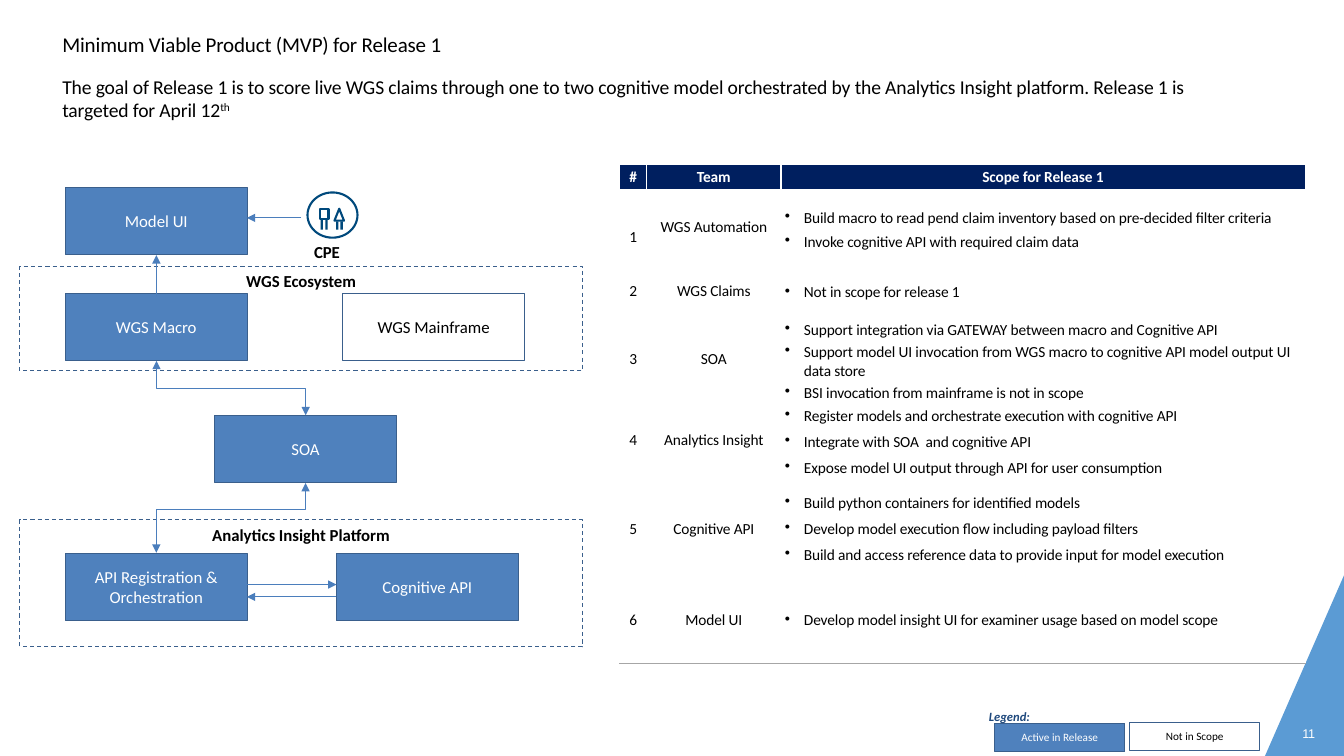
from lxml import etree
from pptx import Presentation
from pptx.dml.color import RGBColor
from pptx.enum.dml import MSO_LINE
from pptx.enum.shapes import MSO_CONNECTOR, MSO_SHAPE
from pptx.enum.text import MSO_ANCHOR, MSO_AUTO_SIZE, PP_ALIGN
from pptx.oxml.ns import qn
from pptx.util import Cm, Pt

LEFT, CENTER = PP_ALIGN.LEFT, PP_ALIGN.CENTER
TOP, MIDDLE = MSO_ANCHOR.TOP, MSO_ANCHOR.MIDDLE
RECT, PROCESS = MSO_SHAPE.RECTANGLE, MSO_SHAPE.FLOWCHART_PROCESS
OVAL, TRIANGLE = MSO_SHAPE.OVAL, MSO_SHAPE.ISOSCELES_TRIANGLE
STRAIGHT, ELBOW = MSO_CONNECTOR.STRAIGHT, MSO_CONNECTOR.ELBOW

COLORS = {
    "black": "000000", "white": "FFFFFF", "box": "4F81BD", "outline": "3A5F8C",
    "arrow": "4B7EBC", "header": "001F5F", "rule": "A6A6A6", "icon": "00497C",
    "corner": "5B9BD4", "legend": "1F497D",
}
RGB = {name: RGBColor.from_string(value) for name, value in COLORS.items()}


def style(p, size, color="black", bold=False, align=LEFT, spc=0, font="Calibri"):
    p.alignment = align
    for r in p.runs:
        r.font.name, r.font.size, r.font.bold = font, Pt(size), bold
        r.font.color.rgb = RGB[color]
        if spc:
            r.font._element.set("spc", str(spc))


def add_shape(kind, x, y, w, h, fill=None, line=None, width=0.75):
    sp = s.shapes.add_shape(kind, Cm(x), Cm(y), Cm(w), Cm(h))
    sp.shadow.inherit = False
    for part, color in ((sp.fill, fill), (sp.line.fill, line)):
        if color:
            part.solid()
            part.fore_color.rgb = RGB[color]
        else:
            part.background()
    if line:
        sp.line.width = Pt(width)
    return sp


prs = Presentation()
prs.slide_width, prs.slide_height = Cm(33.87), Cm(19.05)
s = prs.slides.add_slide(prs.slide_layouts[5])

# Corner triangle
fb = s.shapes.build_freeform(Cm(33.87), Cm(14.5))
fb.add_line_segments([(Cm(31.88), Cm(19.05)), (Cm(33.87), Cm(19.05))], close=True)
corner = fb.convert_to_shape()
corner.shadow.inherit = False
corner.fill.solid()
corner.fill.fore_color.rgb = RGB["corner"]
corner.line.fill.background()

# Title
title = s.shapes.title
title.left, title.top, title.width, title.height = Cm(1.57), Cm(0.76), Cm(12.07), Cm(0.69)
tf = title.text_frame
tf.text = "Minimum Viable Product (MVP) for Release 1"
tf.auto_size, tf.vertical_anchor = MSO_AUTO_SIZE.NONE, TOP
tf.margin_left = tf.margin_right = tf.margin_bottom = 0
tf.margin_top = Cm(0.03)
style(tf.paragraphs[0], 15, spc=-10)

# Goal, page number and icon caption
goal = ("The goal of Release 1 is to score live WGS claims through one to two cognitive model "
        "orchestrated by the Analytics Insight platform. Release 1 is targeted for April 12")
for text, x, y, w, h, size, color, bold, font in (
    (goal, 1.57, 1.85, 28.98, 1.24, 14, "black", False, "Calibri"),
    ("11", 32.82, 18.26, 0.5, 0.46, 9, "white", False, "Arial"),
    ("CPE", 7.92, 6.07, 0.9, 0.56, 12, "black", True, "Calibri"),
):
    tf = s.shapes.add_textbox(Cm(x), Cm(y), Cm(w), Cm(h)).text_frame
    tf.word_wrap = True
    tf.margin_left = tf.margin_right = tf.margin_bottom = 0
    tf.margin_top = Cm(0.03)
    p = tf.paragraphs[0]
    p.text = text
    if text == goal:
        r = p.add_run()
        r.text = "th"
        r.font._element.set("baseline", "30000")
    style(p, size, color, bold, spc=-10, font=font)

# Scope table
ROWS = [
    ("WGS Automation", 1.88, 0.13, 3.5, [
        "Build macro to read pend claim inventory based on pre-decided filter criteria",
        "Invoke cognitive API with required claim data"]),
    ("WGS Claims", 1.32, 0.08, 2.2, ["Not in scope for release 1"]),
    ("SOA", 2.08, 0.08, 2.2, [
        "Support integration via GATEWAY between macro and Cognitive API",
        "Support model UI invocation from WGS macro to cognitive API model output UI data store",
        "BSI invocation from mainframe is not in scope"]),
    ("Analytics Insight", 2.01, 0.08, 5, [
        "Register models and orchestrate execution with cognitive API",
        "Integrate with SOA  and cognitive API",
        "Expose model UI output through API for user consumption"]),
    ("Cognitive API", 2.31, 0.15, 5, [
        "Build python containers for identified models",
        "Develop model execution flow including payload filters",
        "Build and access reference data to provide input for model execution"]),
    ("Model UI", 2.31, 0.15, 5, [
        "Develop model insight UI for examiner usage based on model scope"]),
]
heights = [0.64] + [row[1] for row in ROWS]
table = s.shapes.add_table(len(heights), 3, Cm(15.62), Cm(4.15), Cm(17.27), Cm(sum(heights))).table
table.horz_banding = False
for column, width in zip(table.columns, (0.68, 3.38, 13.21)):
    column.width = Cm(width)
for row, height in zip(table.rows, heights):
    row.height = Cm(height)

grid = [(["#"], ["Team"], ["Scope for Release 1"])]
grid += [([str(n)], [row[0]], row[4]) for n, row in enumerate(ROWS, 1)]
for i, contents in enumerate(grid):
    for j, lines in enumerate(contents):
        cell = table.cell(i, j)
        scope = i > 0 and j == 2
        cell.margin_left = cell.margin_right = cell.margin_bottom = 0
        cell.margin_top = Cm(0.08 if i == 0 else ROWS[i - 1][2] if scope or i > 4 else 0)
        cell.vertical_anchor = MIDDLE if i else TOP
        cell.text_frame.text = "\n".join(lines)
        for k, p in enumerate(cell.text_frame.paragraphs):
            if scope:
                pPr = p._p.get_or_add_pPr()
                pPr.set("marL", str(Cm(0.58)))
                pPr.set("indent", str(-Cm(0.48)))
                etree.SubElement(pPr, qn("a:buChar")).set("char", "•")
                if k:
                    p.space_before = Pt(ROWS[i - 1][3])
            style(p, 11, "black" if i else "white", i == 0, LEFT if scope else CENTER, -10)
        # Cell borders come before the fill
        tcPr = cell._tc.get_or_add_tcPr()
        for side in ("lnB",) if i else ("lnL", "lnR", "lnT", "lnB"):
            ln = etree.SubElement(tcPr, qn("a:" + side), w=str(Pt(0.75 if i else 1)))
            solid = etree.SubElement(ln, qn("a:solidFill"))
            etree.SubElement(solid, qn("a:srgbClr")).set("val", COLORS["rule" if i else "white"])
        if i:
            cell.fill.background()
        else:
            cell.fill.solid()
            cell.fill.fore_color.rgb = RGB["header"]
table.cell(1, 0).margin_top = Cm(0.47)

# Flow boxes and legend keys
BOX, KEY = (4.58, 1.7), (3.28, 0.71)
for text, kind, x, y, (w, h), size, active in (
    ("Model UI", RECT, 1.65, 4.72, BOX, 12, True),
    ("WGS Macro", RECT, 1.65, 7.39, BOX, 12, True),
    ("WGS Mainframe", RECT, 8.64, 7.39, BOX, 12, False),
    ("SOA", RECT, 5.41, 10.46, BOX, 12, True),
    ("API Registration & Orchestration", RECT, 1.65, 13.94, BOX, 12, True),
    ("Cognitive API", RECT, 8.48, 13.94, BOX, 12, True),
    ("Active in Release", PROCESS, 25.07, 18.23, KEY, 8, True),
    ("Not in Scope", PROCESS, 28.47, 18.2, KEY, 8, False),
):
    tf = add_shape(kind, x, y, w, h, "box" if active else None, "outline").text_frame
    tf.text = text
    tf.vertical_anchor = MIDDLE
    style(tf.paragraphs[0], size, "white" if active else "black", align=CENTER)

# Legend heading
tf = s.shapes.add_textbox(Cm(24.92), Cm(17.75), Cm(2.16), Cm(0.97)).text_frame
tf.word_wrap = True
tf.margin_left = 0
tf.text = "Legend:"
style(tf.paragraphs[0], 9, "legend", True)
tf.paragraphs[0].runs[0].font.italic = True

# Dashed system frames
for text, y, h in (("WGS Ecosystem", 6.71, 2.64), ("Analytics Insight Platform", 13.1, 3.2)):
    sp = add_shape(RECT, 0.5, y, 14.18, h, line="outline")
    sp.line.dash_style = MSO_LINE.DASH
    tf = sp.text_frame
    tf.text = text
    tf.vertical_anchor = TOP
    style(tf.paragraphs[0], 12, bold=True, align=CENTER)

# User icon: ring, two bodies, two pairs of legs
for kind, x, y, w, h in ((OVAL, 7.75, 4.85, 1.26, 1.14), (RECT, 8.06, 5.26, 0.22, 0.26),
                         (TRIANGLE, 8.43, 5.26, 0.24, 0.3)):
    add_shape(kind, x, y, w, h, line="icon", width=1.5)
for x, y in ((8.08, 5.54), (8.2, 5.54), (8.47, 5.58), (8.58, 5.58)):
    add_shape(RECT, x, y, 0.06, 5.79 - y, fill="icon")

# Arrows; the elbows are turned so that they leave vertically
for kind, x1, y1, x2, y2, turn, bend in (
    (STRAIGHT, 6.22, 14.73, 8.48, 14.73, 0, None),
    (STRAIGHT, 8.48, 15.04, 6.22, 15.04, 0, None),
    (STRAIGHT, 3.94, 7.47, 3.94, 6.43, 0, None),
    (STRAIGHT, 7.59, 5.49, 6.22, 5.49, 0, None),
    (ELBOW, 6.51, 7.9, 5.14, 11.66, 270, 50000),
    (ELBOW, 4.94, 11.17, 6.7, 14.93, 90, 37700),
):
    c = s.shapes.add_connector(kind, Cm(x1), Cm(y1), Cm(x2), Cm(y2))
    c.line.color.rgb = RGB["arrow"]
    c.line.width = Pt(0.75)
    spPr = c._element.spPr
    ln = spPr.find(qn("a:ln"))
    if kind == ELBOW:
        spPr.find(qn("a:xfrm")).set("rot", str(turn * 60000))
        guide = etree.SubElement(spPr.find(qn("a:prstGeom")).find(qn("a:avLst")), qn("a:gd"))
        guide.set("name", "adj1")
        guide.set("fmla", f"val {bend}")
        etree.SubElement(ln, qn("a:headEnd")).set("type", "triangle")
    etree.SubElement(ln, qn("a:tailEnd")).set("type", "triangle")
    etree.SubElement(spPr, qn("a:effectLst"))

prs.save("out.pptx")
